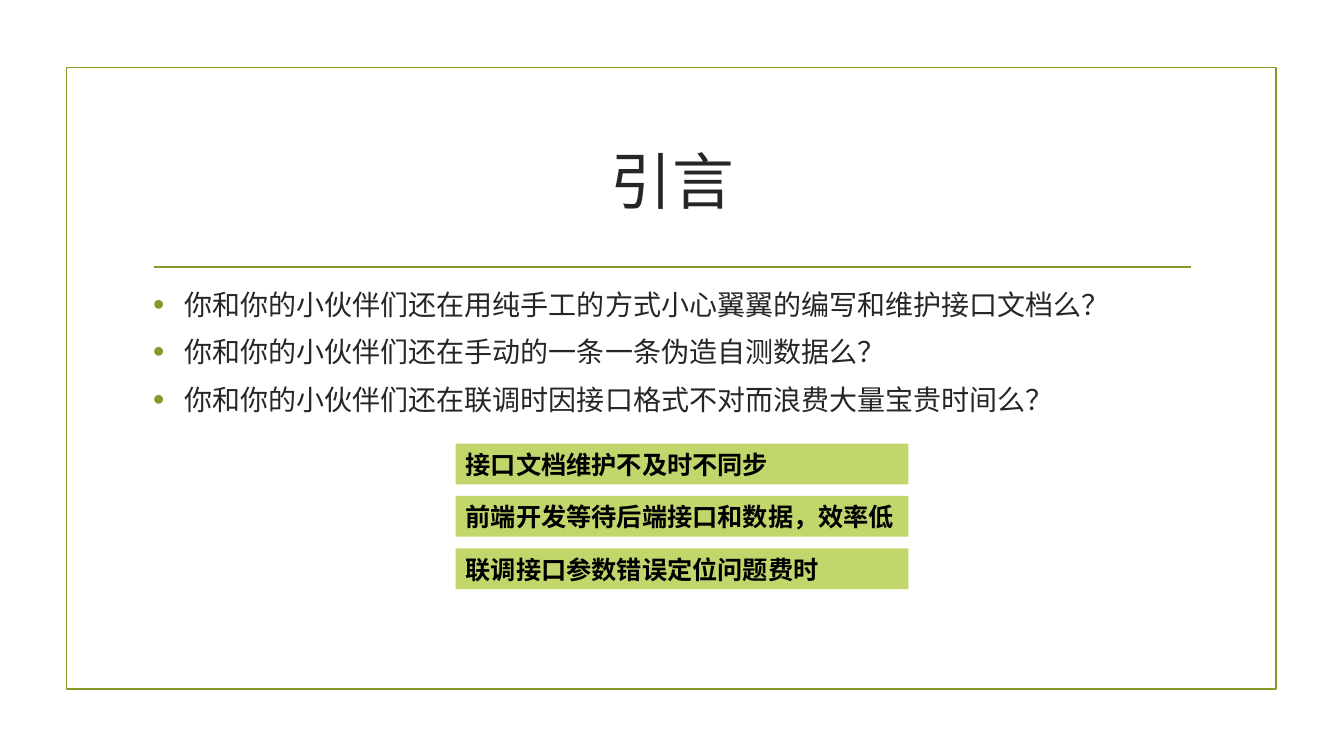
from dataclasses import dataclass

from pptx import Presentation
from pptx import util as u
from pptx.dml.color import RGBColor
from pptx.enum import shapes, text
from pptx.oxml.ns import qn
from lxml import etree

WIDE, HIGH = u.Inches(13.33), u.Inches(7.5)
HUES = {"olive": "83992A", "lime": "C1D66B", "ink": "262626", "black": "000000"}
SANS, SERIF = "Noto Sans CJK SC", "Times New Roman"
POINTS = [
    "你和你的小伙伴们还在用纯手工的方式小心翼翼的编写和维护接口文档么？",
    "你和你的小伙伴们还在手动的一条一条伪造自测数据么？",
    "你和你的小伙伴们还在联调时因接口格式不对而浪费大量宝贵时间么？",
]
PAINS = ["接口文档维护不及时不同步", "前端开发等待后端接口和数据，效率低", "联调接口参数错误定位问题费时"]


@dataclass(frozen=True)
class Box:
    """Left, top, width and height in percent of the slide."""
    left: float
    top: float
    width: float
    height: float

    def place(self) -> tuple[int, int, int, int]:
        return (across(self.left), down(self.top), across(self.width), down(self.height))


@dataclass(frozen=True)
class Style:
    size: float
    face: str
    hue: str
    bold: bool = False
    pitch: float | None = None


FRAME = Box(4.95, 8.93, 90.02, 82.27)
TITLE = Box(10.65, 14.27, 78.77, 19.07)
BODY = Box(10.65, 37.33, 78.77, 48.4)
BAR = Box(33.91, 58.67, 33.68, 5.4)
STEP = 6.93
HEAD = Style(44, SERIF, "ink")
ITEM = Style(20, SANS, "ink", pitch=24)
LABEL = Style(18, SANS, "black", bold=True, pitch=22)


def across(share: float) -> int:
    return round(WIDE * share / 100)


def down(share: float) -> int:
    return round(HIGH * share / 100)


def color(name: str) -> RGBColor:
    return RGBColor.from_string(HUES[name])


def write(para, words: str, style: Style, align=text.PP_ALIGN.LEFT) -> None:
    para.text = words
    para.alignment = align
    font = para.font
    font.size, font.name, font.bold = u.Pt(style.size), style.face, style.bold
    font.color.rgb = color(style.hue)
    if style.pitch:
        para.line_spacing = u.Pt(style.pitch)


def bullet(para) -> None:
    props = para._p.get_or_add_pPr()
    props.set("marL", str(u.Inches(0.31)))
    props.set("indent", str(-u.Inches(0.31)))
    marks = [
        etree.Element(qn("a:buClr")),
        etree.Element(qn("a:buSzPct"), val="115000"),
        etree.Element(qn("a:buFont"), typeface="Arial"),
        etree.Element(qn("a:buChar"), char="•"),
    ]
    etree.SubElement(marks[0], qn("a:srgbClr"), val=HUES["olive"])
    spot = props.find(qn("a:defRPr"))
    for mark in marks:
        spot.addprevious(mark)


def panel(slide, box: Box):
    shape = slide.shapes.add_shape(shapes.MSO_SHAPE.RECTANGLE, *box.place())
    shape.shadow.inherit = False
    return shape


def main() -> None:
    deck = Presentation()
    deck.slide_width, deck.slide_height = WIDE, HIGH
    slide = deck.slides.add_slide(deck.slide_layouts[5])

    # Frame and rule
    frame = panel(slide, FRAME)
    frame.fill.background()
    rule = slide.shapes.add_connector(
        shapes.MSO_CONNECTOR.STRAIGHT,
        across(11.48), down(35.33), across(88.6), down(35.33))
    etree.SubElement(rule._element.spPr, qn("a:effectLst"))
    for edge in (frame, rule):
        edge.line.color.rgb = color("olive")
        edge.line.width = u.Pt(1.25)

    # Title
    title = slide.shapes.title
    title.left, title.top, title.width, title.height = TITLE.place()
    title.text_frame.vertical_anchor = text.MSO_ANCHOR.MIDDLE
    write(title.text_frame.paragraphs[0], "引言", HEAD, text.PP_ALIGN.CENTER)

    # Questions
    body = slide.shapes.add_textbox(*BODY.place()).text_frame
    body.word_wrap = True
    for row, words in enumerate(POINTS):
        para = body.add_paragraph() if row else body.paragraphs[0]
        write(para, words, ITEM)
        para.space_before = u.Pt(4 if row else 0)
        para.space_after = u.Pt(6)
        bullet(para)

    # Pain points
    for row, words in enumerate(PAINS):
        bar = panel(slide, Box(BAR.left, BAR.top + row * STEP, BAR.width, BAR.height))
        bar.fill.solid()
        bar.fill.fore_color.rgb = color("lime")
        bar.line.fill.background()
        bar.text_frame.word_wrap = False
        bar.text_frame.vertical_anchor = text.MSO_ANCHOR.MIDDLE
        write(bar.text_frame.paragraphs[0], words, LABEL)

    deck.save("out.pptx")


if __name__ == "__main__":
    main()
